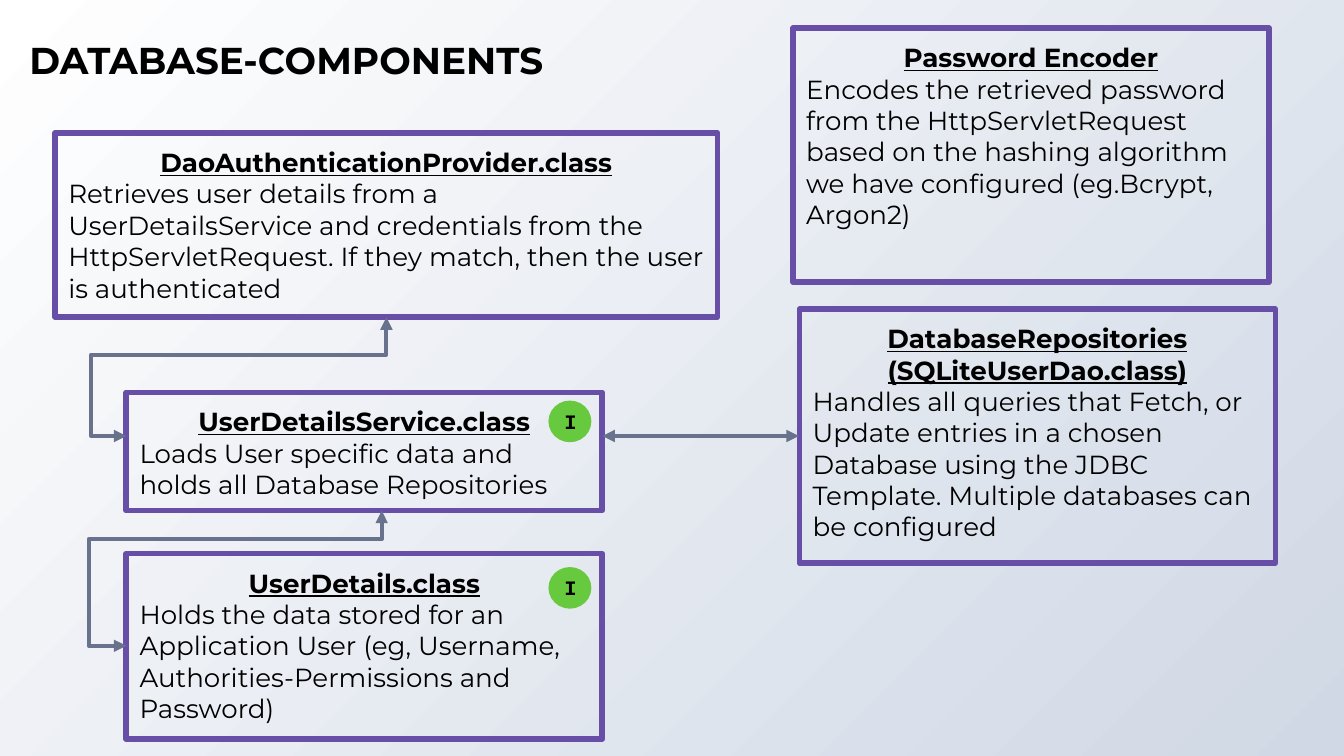
"""Build the database components slide."""
from lxml import etree
from pptx import Presentation
from pptx import util as u
from pptx.dml.color import RGBColor
from pptx.enum import shapes as sh, text as tx
from pptx.oxml import ns

HUES = {"edge": "674EA7", "link": "68728D", "badge": "67C93D",
        "ink": "000000", "light": "FFFFFF", "dark": "D0D8E5"}
TITLE = ("DATABASE-COMPONENTS", (15.8, 15.1, 315.4, 28.1))
BOXES = [
    ((29.5, 71.3, 355, 98.6), ["DaoAuthenticationProvider.class"],
     ["Retrieves user details from a",
      "UserDetailsService and credentials from the HttpServletRequest. "
      "If they match, then the user is authenticated"]),
    ((67.7, 210.2, 255, 63.4), ["UserDetailsService.class"],
     ["Loads User specific data and holds all Database Repositories"]),
    ((67.7, 296.6, 255, 99.4), ["UserDetails.class"],
     ["Holds the data stored for an Application User (eg, Username,",
      "Authorities-Permissions and Password)"]),
    ((428.3, 165.6, 255, 136.1), ["DatabaseRepositories", "(SQLiteUserDao.class)"],
     ["Handles all queries that Fetch, or",
      "Update entries in a chosen Database using the JDBC Template. "
      "Multiple databases can be configured"]),
    ((424.8, 15.1, 255, 136.1), ["Password Encoder"],
     ["Encodes the retrieved password from the HttpServletRequest based on "
      "the hashing algorithm we have configured (eg.Bcrypt, Argon2)"]),
]
LOOPS = [((207, 170), (67.7, 233.6), (31500, 113500)),
         ((204.5, 273.6), (67.7, 346), (21000, 114700))]
SPAN = ((428, 233.6), (322.7, 233.6))
BADGES = [(293.8, 214.6), (293.8, 303.8)]
HEAD = {"size": u.Pt(14), "name": "Montserrat", "bold": True, "underline": True}
BODY = {"size": u.Pt(14), "name": "Montserrat", "bold": False, "underline": False}
TOP = {"size": u.Pt(20), "name": "Montserrat", "bold": True}
MARK = {"size": u.Pt(11), "name": "Courier New", "bold": True}


def hue(key):
    return RGBColor.from_string(HUES[key])


def pts(nums):
    return [u.Pt(n) for n in nums]


def write(frame, rows, pad=7.2):
    """Fill a frame with (text, font, alignment) rows."""
    frame.word_wrap = True
    frame.vertical_anchor = tx.MSO_ANCHOR.TOP
    for side in ("left", "top", "right", "bottom"):
        setattr(frame, "margin_" + side, u.Pt(pad))
    for i, (words, font, align) in enumerate(rows):
        para = frame.add_paragraph() if i else frame.paragraphs[0]
        para.alignment = align
        run = para.add_run()
        run.text = words
        run.font.color.rgb = hue("ink")
        for key, val in font.items():
            setattr(run.font, key, val)


def link(slide, start, end, bend=None):
    """Draw a double-headed elbow, turned a quarter when bends are given."""
    (x, y), (z, w) = start, end
    if bend:
        mid, low = (x + z) / 2, (y + w) / 2
        wide, tall = w - y, x - z
        x, y = mid - wide / 2, low - tall / 2
        z, w = x + wide, y + tall
    line = slide.shapes.add_connector(sh.MSO_CONNECTOR.ELBOW, *pts((x, y, z, w)))
    line.line.color.rgb = hue("link")
    line.line.width = u.Pt(2.25)
    props = line._element.spPr
    if bend:
        props.find(ns.qn("a:xfrm")).set("rot", "5400000")
        geom = props.find(ns.qn("a:prstGeom"))
        geom.set("prst", "bentConnector4")
        guides = geom.find(ns.qn("a:avLst"))
        for i, val in enumerate(bend, 1):
            etree.SubElement(guides, ns.qn("a:gd"), name=f"adj{i}", fmla=f"val {val}")
    stroke = props.find(ns.qn("a:ln"))
    for tip in ("a:headEnd", "a:tailEnd"):
        etree.SubElement(stroke, ns.qn(tip), type="triangle")
    etree.SubElement(props, ns.qn("a:effectLst"))


def shape(slide, kind, area):
    item = slide.shapes.add_shape(kind, *pts(area))
    item.shadow.inherit = False
    return item


def main():
    deck = Presentation()
    deck.slide_width, deck.slide_height = pts((720, 405))
    slide = deck.slides.add_slide(deck.slide_layouts[6])
    back = slide.background.fill
    back.gradient()
    back.gradient_angle = 315
    for stop, key, spot in zip(back.gradient_stops, ("light", "dark"), (0, 1)):
        stop.color.rgb = hue(key)
        stop.position = spot

    left, mid = tx.PP_ALIGN.LEFT, tx.PP_ALIGN.CENTER
    words, area = TITLE
    frame = slide.shapes.add_textbox(*pts(area)).text_frame
    write(frame, [(words, TOP, left)], 0)
    frame.paragraphs[0].line_spacing = 1.2

    for area, heads, lines in BOXES:
        box = shape(slide, sh.MSO_SHAPE.RECTANGLE, area)
        box.fill.background()
        box.line.color.rgb = hue("edge")
        box.line.width = u.Pt(3)
        write(box.text_frame, [(t, HEAD, mid) for t in heads]
              + [(t, BODY, left) for t in lines])
    for loop in LOOPS:
        link(slide, *loop)
    link(slide, *SPAN)
    for x, y in BADGES:
        dot = shape(slide, sh.MSO_SHAPE.OVAL, (x, y, 23, 22.3))
        dot.fill.solid()
        dot.fill.fore_color.rgb = hue("badge")
        dot.line.fill.background()
        label = slide.shapes.add_textbox(*pts((x + 1.4, y - 2.2, 20.9, 28.1)))
        write(label.text_frame, [("I", MARK, left)])
    deck.save("out.pptx")


if __name__ == "__main__":
    main()
